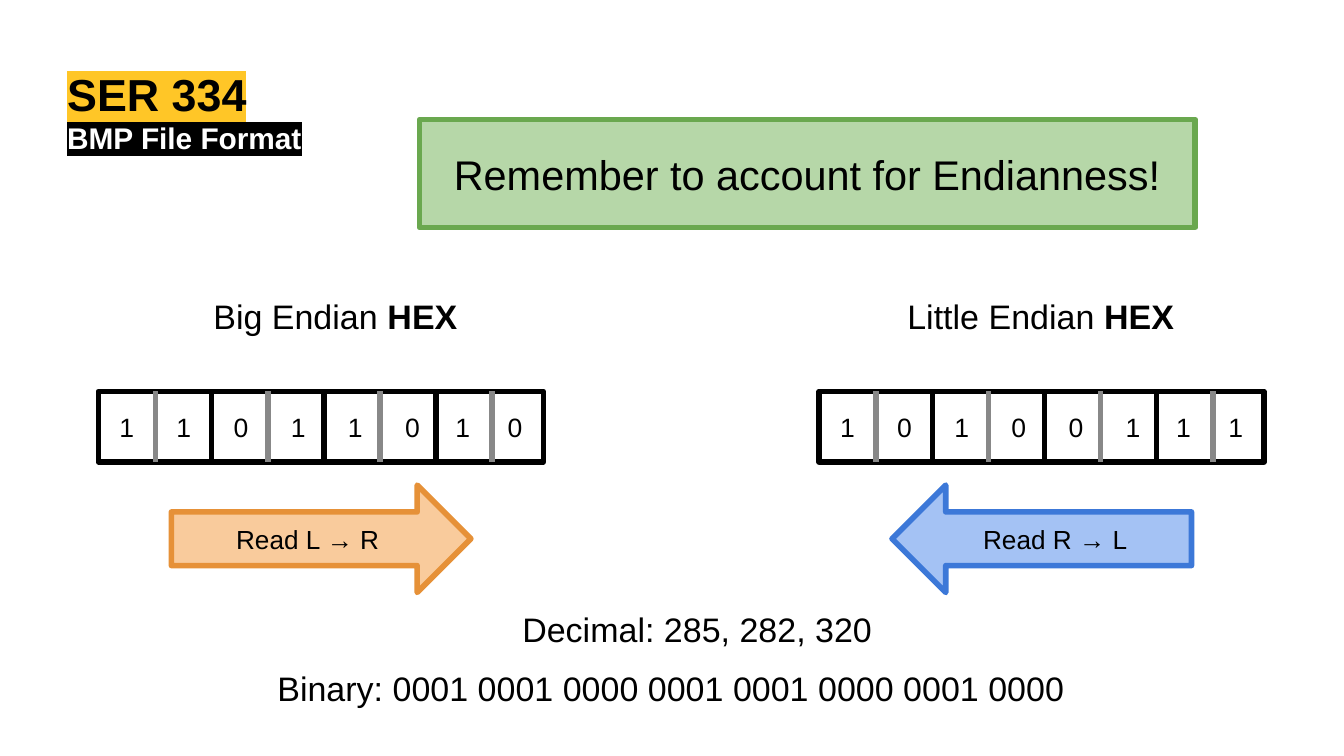
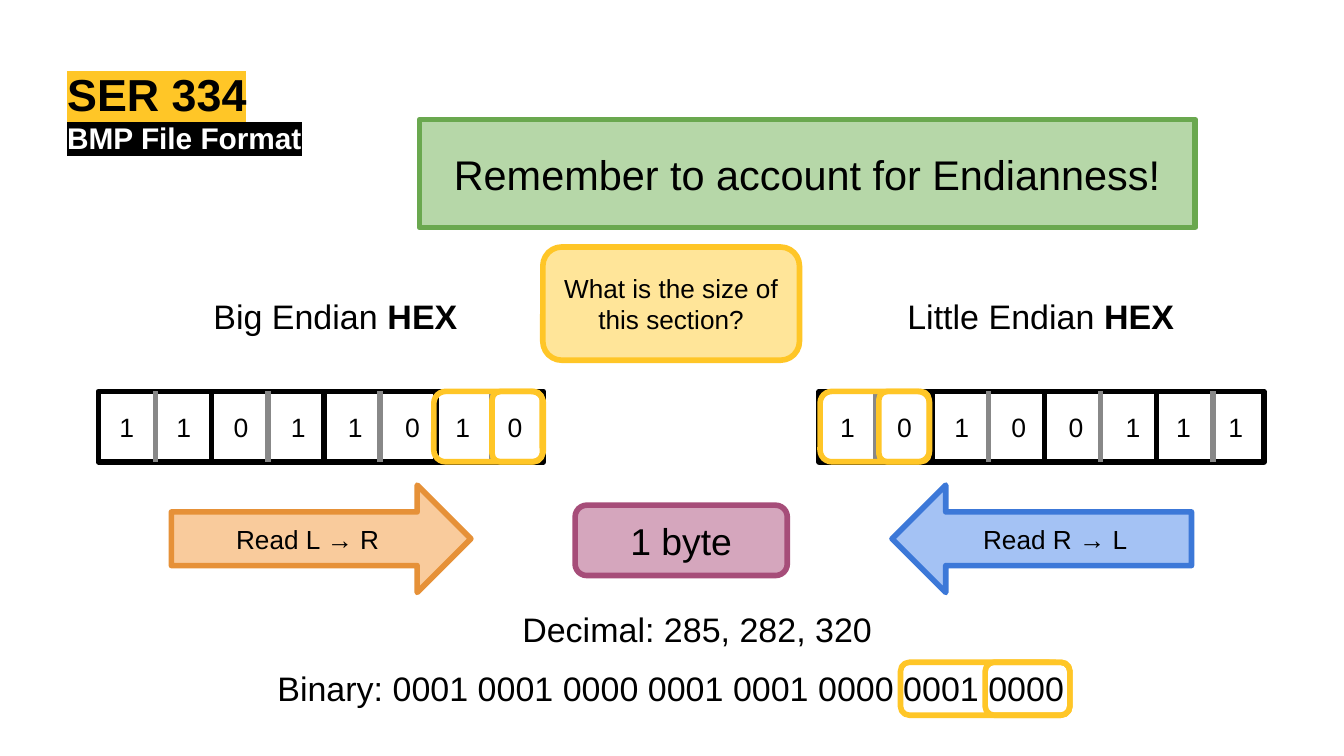
from lxml import etree
from pptx import Presentation
from pptx.dml.color import RGBColor
from pptx.enum.shapes import MSO_CONNECTOR, MSO_SHAPE
from pptx.enum.text import MSO_ANCHOR, MSO_AUTO_SIZE, PP_ALIGN
from pptx.oxml.ns import qn
from pptx.util import Cm, Pt

RECT, ROUNDED = MSO_SHAPE.RECTANGLE, MSO_SHAPE.ROUNDED_RECTANGLE
ARROW, STRAIGHT = MSO_SHAPE.RIGHT_ARROW, MSO_CONNECTOR.STRAIGHT
TOP, MIDDLE = MSO_ANCHOR.TOP, MSO_ANCHOR.MIDDLE
LEFT, CENTER = PP_ALIGN.LEFT, PP_ALIGN.CENTER
NO_FIT = MSO_AUTO_SIZE.NONE

FONT = "Arial"
BLACK, WHITE, GRAY, GOLD = "000000", "FFFFFF", "888888", "FFC627"
LINE_WIDTH = Pt(3)
ROW_H = 1.33     # height of digit rows and text lines, cm
BYTES_W = 8.41   # width of a row of eight digits, cm
BYTES_Y = 7.4    # top of the digit rows, cm
BIG_X, LITTLE_X = 1.86, 15.48


def rgb(color):
    return RGBColor.from_string(color)


def cm_box(box):
    return [Cm(v) for v in box]


# Text and shape helpers
def format_text(sp, size, color=BLACK, align=CENTER, anchor=MIDDLE, inset=0.25):
    tf = sp.text_frame
    tf.word_wrap = True
    tf.auto_size = NO_FIT
    tf.vertical_anchor = anchor
    tf.margin_left = tf.margin_right = tf.margin_top = tf.margin_bottom = Cm(inset)
    for p in tf.paragraphs:
        p.alignment = align
        p.space_before = Pt(0)
        for r in p.runs:
            r.font.size = Pt(size)
            r.font.name = FONT
            r.font.color.rgb = rgb(color)


def add_text(parent, box, text, size, bold_tail=""):
    sp = parent.shapes.add_textbox(*cm_box(box))
    p = sp.text_frame.paragraphs[0]
    p.text = text
    if bold_tail:
        r = p.add_run()
        r.text = bold_tail
        r.font.bold = True
    format_text(sp, size)


def style_line(sp, color):
    sp.line.color.rgb = rgb(color)
    sp.line.width = LINE_WIDTH
    etree.SubElement(sp.line._get_or_add_ln(), qn("a:round"))


def add_box(parent, kind, box, fill, line, text="", size=14):
    sp = parent.shapes.add_shape(kind, *cm_box(box))
    sp.shadow.inherit = False
    if fill:
        sp.fill.solid()
        sp.fill.fore_color.rgb = rgb(fill)
    else:
        sp.fill.background()
    style_line(sp, line)
    if text:
        sp.text_frame.text = text
        format_text(sp, size)
    return sp


def add_divider(parent, x, y, color):
    sp = parent.shapes.add_connector(STRAIGHT, Cm(x), Cm(y), Cm(x), Cm(y + ROW_H))
    style_line(sp, color)
    etree.SubElement(sp._element.spPr, qn("a:effectLst"))


# Headings
def add_heading(sp, box, text, size, color, highlight):
    sp.left, sp.top, sp.width, sp.height = cm_box(box)
    sp.text_frame.text = text
    format_text(sp, size, color, LEFT, TOP, 0)
    r = sp.text_frame.paragraphs[0].runs[0]
    r.font.bold = True
    mark = etree.Element(qn("a:highlight"))
    etree.SubElement(mark, qn("a:srgbClr")).set("val", highlight)
    r.font._element.find(qn("a:solidFill")).addnext(mark)


# Row of eight hex digits, split into bytes by black dividers
def add_bytes(slide, x, y, digits):
    bar = slide.shapes.add_group_shape()
    add_box(bar, RECT, (x, y, BYTES_W, ROW_H), WHITE, BLACK)
    for i in range(7):
        add_divider(bar, x + 1.08 + 1.06 * i, y, BLACK if i % 2 else GRAY)
    labels = slide.shapes.add_group_shape()
    for i, digit in enumerate(digits):
        dx = 1.08 * i if i < 6 else 7.34 - 0.99 * (7 - i)
        add_text(labels, (x + dx, y, 1.07, ROW_H), digit, 14.2)


# Label, digits and reading arrow of one byte order
def add_byte_order(slide, x, name, label_dx, digits, reading, fill, line, flip=False):
    add_text(slide, (x + label_dx, BYTES_Y - 2.09, 6.58, ROW_H), name, 18.2, "HEX")
    add_bytes(slide, x, BYTES_Y, digits)
    arrow = add_box(slide, ARROW, (x + 1.38, BYTES_Y + 1.77, 5.66, 2.03),
                    fill, line, reading)
    if flip:
        arrow._element.spPr.xfrm.set("flipH", "1")


# Frame around a byte, with an inner frame around one of its digits
def add_byte_frame(slide, box, inner_dx, inner_w):
    x, y, w, h = box
    for frame in (box, (x + inner_dx, y, inner_w, h)):
        add_box(slide, ROUNDED, frame, None, GOLD)


def add_endianness_slide(prs):
    slide = prs.slides.add_slide(prs.slide_layouts[0])
    add_heading(slide.shapes.title, (1.27, 1.27, 12.32, 1), "SER 334", 24, BLACK, GOLD)
    add_heading(slide.placeholders[1], (1.27, 2.26, 16.54, 0.74),
                "BMP File Format", 16, WHITE, BLACK)
    add_box(slide, RECT, (7.93, 2.26, 14.66, 2.04), "B6D7A8", "6AA84F",
            "Remember to account for Endianness!", 22.2)
    add_byte_order(slide, BIG_X, "Big Endian ", 1.19, "11011010",
                   "Read L → R", "F9CB9C", "E69138")
    add_byte_order(slide, LITTLE_X, "Little Endian ", 0.9, "10100111",
                   "Read R → L", "A4C2F4", "3C78D8", flip=True)
    add_text(slide, (9.42, 11.23, 7.52, ROW_H), "Decimal: 285, 282, 320", 18.2)
    add_text(slide, (4.14, 12.34, 17.09, ROW_H),
             "Binary: 0001 0001 0000 0001 0001 0000 0001 0000", 18.2)
    return slide


# Question and answer about one byte
def add_byte_question(slide):
    add_box(slide, ROUNDED, (10.26, 4.67, 4.85, 2.14), "FFE599", GOLD,
            "What is the size of this section?")
    add_box(slide, ROUNDED, (10.87, 9.55, 4.01, ROW_H), "D5A6BD", "A64D79", "1 byte", 20)
    add_byte_frame(slide, (BIG_X + 6.34, BYTES_Y, 2.07, ROW_H), 1.1, 0.95)
    add_byte_frame(slide, (LITTLE_X + 0.02, BYTES_Y, 2.07, ROW_H), 1.11, 0.95)
    add_byte_frame(slide, (17.02, 12.52, 3.2, 1), 1.6, 1.6)


def main():
    prs = Presentation()
    prs.slide_width, prs.slide_height = Cm(25.4), Cm(14.29)
    add_endianness_slide(prs)
    add_byte_question(add_endianness_slide(prs))
    prs.save("out.pptx")


if __name__ == "__main__":
    main()
